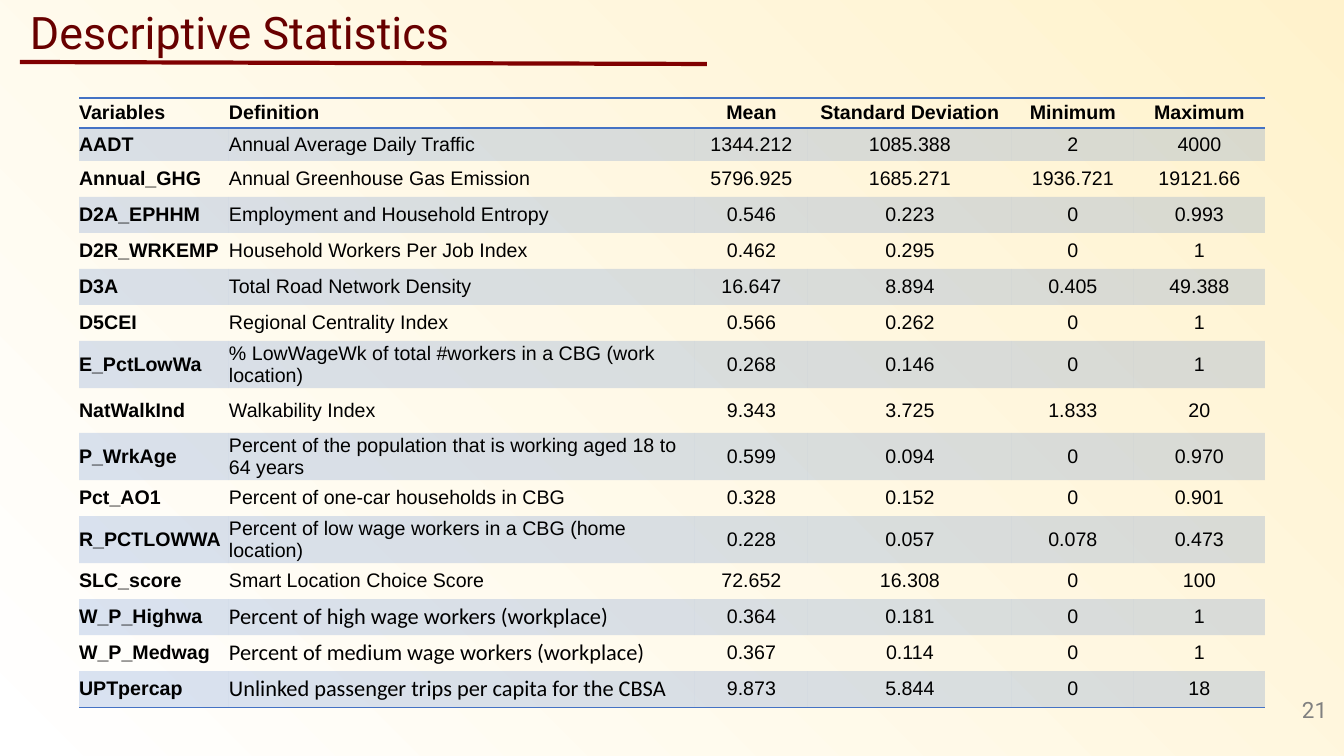
from dataclasses import dataclass
from lxml.etree import SubElement, Element
from pptx import Presentation
from pptx.dml.color import RGBColor as RGB
from pptx.enum.shapes import MSO_CONNECTOR as Link
from pptx.enum.text import MSO_ANCHOR as Anchor, PP_ALIGN as Align
from pptx.oxml.ns import qn
from pptx.util import Pt

PX = 914400 / 100.8  # EMU in one px
NO_GRID = "{2D5ABB26-0587-4C30-8999-92F81FD0307C}"


@dataclass(frozen=True)
class Theme:
    cream: str = "FFF2CC"
    white: str = "FFFFFF"
    title: str = "680000"
    rule: str = "800000"
    page: str = "808080"
    band: str = "4472C4"
    ink: str = "000000"
    head: str = "Roboto"
    body: str = "Arial"
    alt: str = "Calibri"
    big: int = 32
    mid: int = 16
    small: int = 14


T = Theme()

COLS = [150, 466, 113, 204, 122, 131]
ROWS = [30, 33] + [36] * 6 + [45] + [36] * 7
STATS = [
    ("Variables", "Definition", "Mean", "Standard Deviation", "Minimum", "Maximum"),
    ("AADT", "Annual Average Daily Traffic", "1344.212", "1085.388", "2", "4000"),
    ("Annual_GHG", "Annual Greenhouse Gas Emission",
     "5796.925", "1685.271", "1936.721", "19121.66"),
    ("D2A_EPHHM", "Employment and Household Entropy", "0.546", "0.223", "0", "0.993"),
    ("D2R_WRKEMP", "Household Workers Per Job Index", "0.462", "0.295", "0", "1"),
    ("D3A", "Total Road Network Density", "16.647", "8.894", "0.405", "49.388"),
    ("D5CEI", "Regional Centrality Index", "0.566", "0.262", "0", "1"),
    ("E_PctLowWa", "% LowWageWk of total #workers in a CBG (work location)",
     "0.268", "0.146", "0", "1"),
    ("NatWalkInd", "Walkability Index", "9.343", "3.725", "1.833", "20"),
    ("P_WrkAge", "Percent of the population that is working aged 18 to 64 years",
     "0.599", "0.094", "0", "0.970"),
    ("Pct_AO1", "Percent of one-car households in CBG", "0.328", "0.152", "0", "0.901"),
    ("R_PCTLOWWA", "Percent of low wage workers in a CBG (home location)",
     "0.228", "0.057", "0.078", "0.473"),
    ("SLC_score", "Smart Location Choice Score", "72.652", "16.308", "0", "100"),
    ("W_P_Highwa", "Percent of high wage workers (workplace)", "0.364", "0.181", "0", "1"),
    ("W_P_Medwag", "Percent of medium wage workers (workplace)",
     "0.367", "0.114", "0", "1"),
    ("UPTpercap", "Unlinked passenger trips per capita for the CBSA",
     "9.873", "5.844", "0", "18"),
]
LAST = len(STATS) - 1
ALT_FROM = 13  # definitions from this row on use the second font


def px(*nums):
    return [round(n * PX) for n in nums]


def style(para, face, size, color, bold=False, align=Align.LEFT):
    font = para.font
    font.name, font.size, font.bold = face, Pt(size), bold
    font.color.rgb = RGB.from_string(color)
    para.alignment = align


def label(slide, box, text, size, color, align, anchor):
    frame = slide.shapes.add_textbox(*px(*box)).text_frame
    frame.word_wrap = True
    frame.vertical_anchor = anchor
    frame.text = text
    style(frame.paragraphs[0], T.head, size, color, align=align)


def backdrop(slide):
    fill = slide.background.fill
    fill.gradient()
    fill.gradient_angle = 225  # counted anticlockwise
    for stop, color in zip(fill.gradient_stops, (T.cream, T.white)):
        stop.color.rgb = RGB.from_string(color)


def header(slide, box):
    x, y, w, h = box
    label(slide, box, "Descriptive Statistics", T.big, T.title, Align.LEFT, Anchor.TOP)
    # Underline, tilted slightly down to the right
    rule = slide.shapes.add_connector(
        Link.STRAIGHT, *px(x, y + h - 3, x + 687, y + h - 1))
    rule.line.color.rgb = RGB.from_string(T.rule)
    rule.line.width = Pt(3)
    SubElement(rule._element.spPr, qn("a:effectLst"))


def borders(cell, sides):
    # Border lines must come before the fill in the cell properties
    props = cell._tc.get_or_add_tcPr()
    for i, side in enumerate(sides):
        line = Element(qn("a:ln" + side), w=str(Pt(1)))
        SubElement(SubElement(line, qn("a:solidFill")), qn("a:srgbClr"), val=T.band)
        props.insert(i, line)


def shade(cell):
    cell.fill.solid()
    cell.fill.fore_color.rgb = RGB.from_string(T.band)
    color = cell._tc.tcPr.find(".//" + qn("a:srgbClr"))
    SubElement(color, qn("a:alpha"), val="20000")


def fill_cell(cell, text, r, c):
    cell.margin_left = cell.margin_right = cell.margin_top = cell.margin_bottom = 0
    cell.vertical_anchor = Anchor.MIDDLE
    cell.text = text
    alt = c == 1 and r >= ALT_FROM
    style(cell.text_frame.paragraphs[0],
          T.alt if alt else T.body, T.mid if alt else T.small, T.ink,
          bold=r == 0 or c == 0, align=Align.LEFT if c < 2 else Align.CENTER)
    if r % 2:
        shade(cell)
    else:
        cell.fill.background()
    borders(cell, {0: "TB", LAST: "B"}.get(r, ""))


def stats(slide, x, y):
    box = px(x, y, sum(COLS), sum(ROWS))
    table = slide.shapes.add_table(len(ROWS), len(COLS), *box).table
    table.first_row = table.horz_banding = False
    table._tbl.tblPr.find(qn("a:tableStyleId")).text = NO_GRID
    for col, wide in zip(table.columns, px(*COLS)):
        col.width = wide
    for row, high in zip(table.rows, px(*ROWS)):
        row.height = high
    for r, line in enumerate(STATS):
        for c, text in enumerate(line):
            fill_cell(table.cell(r, c), text, r, c)


def main():
    deck = Presentation()
    deck.slide_width, deck.slide_height = px(1344, 756)
    slide = deck.slides.add_slide(deck.slide_layouts[6])
    backdrop(slide)
    header(slide, (20, 0, 1011, 65))
    # Page number
    label(slide, (1279, 690, 58, 40), "21", T.mid, T.page, Align.RIGHT, Anchor.MIDDLE)
    stats(slide, 79, 98)
    deck.save("out.pptx")


if __name__ == "__main__":
    main()
